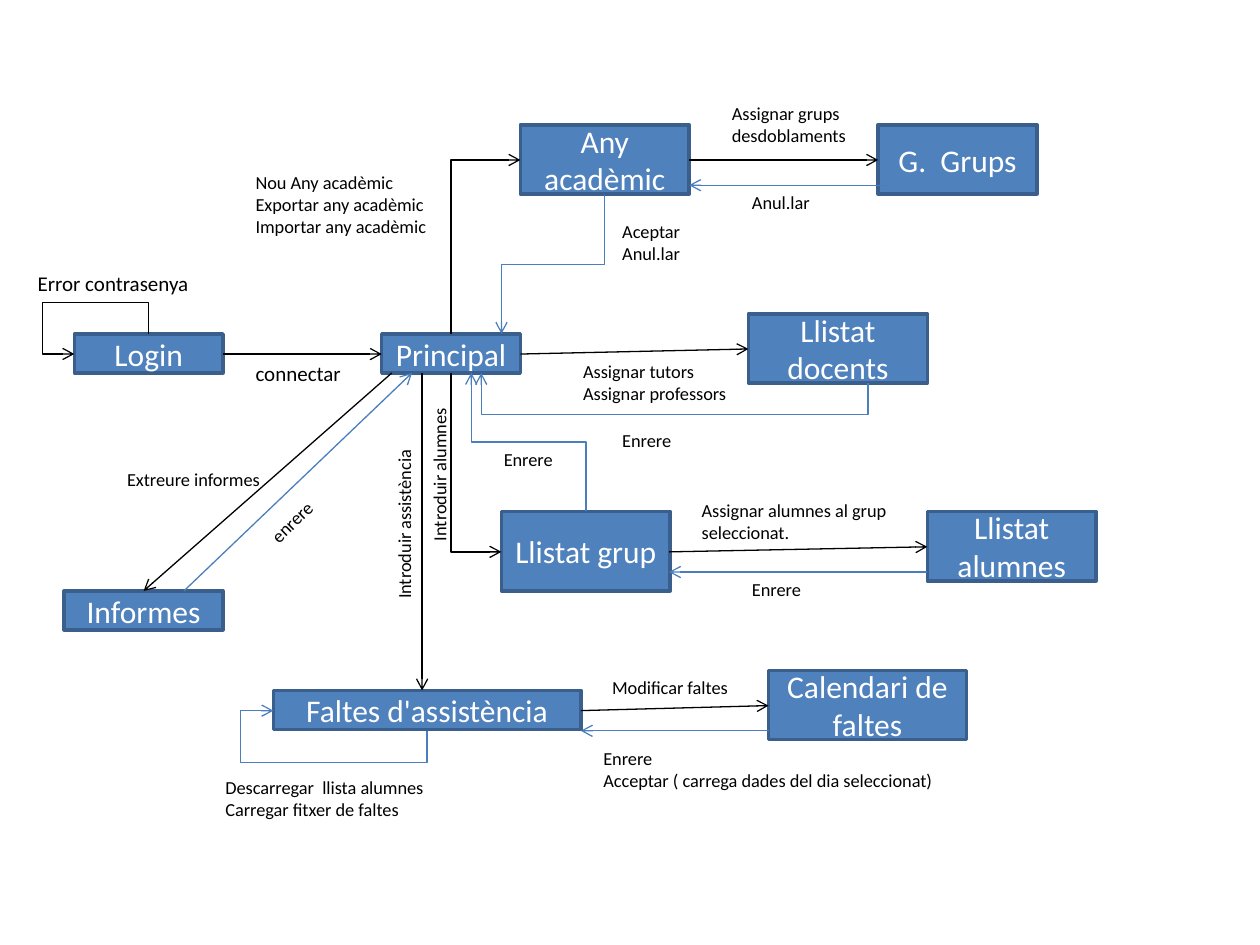
from lxml import etree
from pptx import Presentation
from pptx import util as u
from pptx.dml.color import RGBColor
from pptx.enum import shapes, text
from pptx.oxml import ns

FILL = RGBColor(0x4F, 0x81, 0xBD)
EDGE = RGBColor(0x3A, 0x5F, 0x8C)
BACK = RGBColor(0x4B, 0x7E, 0xBC)
BLACK = RGBColor(0, 0, 0)
WHITE = RGBColor(255, 255, 255)

# Screens: name, left, top, width, height
SCREENS = [
    ("Login", 0.59, 2.65, 1.18, 0.31),
    ("Principal", 3.03, 2.65, 1.1, 0.31),
    ("Any acadèmic", 4.13, 0.99, 1.34, 0.55),
    ("G.  Grups", 6.97, 0.99, 1.26, 0.55),
    ("Llistat docents", 5.94, 2.49, 1.42, 0.55),
    ("Llistat grup", 3.98, 4.06, 1.34, 0.63),
    ("Llistat alumnes", 7.36, 4.06, 1.34, 0.55),
    ("Faltes d'assistència", 2.17, 5.48, 2.44, 0.31),
    ("Informes", 0.51, 4.69, 1.26, 0.31),
    ("Calendari de faltes", 6.1, 5.32, 1.57, 0.55),
]

# Straight arrows: start, end, colour
ARROWS = [
    ((1.77, 2.81), (3.03, 2.81), BLACK),
    ((5.47, 1.27), (6.97, 1.27), BLACK),
    ((7.05, 1.47), (5.47, 1.47), BACK),
    ((4.13, 2.81), (5.94, 2.77), BLACK),
    ((5.31, 4.38), (7.36, 4.34), BLACK),
    ((7.36, 4.54), (5.31, 4.54), BACK),
    ((3.35, 2.96), (3.35, 5.48), BLACK),
    ((3.11, 2.96), (1.14, 4.69), BLACK),
    ((1.46, 4.69), (3.27, 2.96), BACK),
    ((4.61, 5.64), (6.1, 5.6), BLACK),
    ((6.1, 5.8), (4.61, 5.8), BACK),
]

# Bent arrows: start, end, colour, turn, then the y and x where they bend
BENDS = [
    ((1.18, 2.65), (0.59, 2.81), BLACK, 270, 2.4, 0.34),
    ((3.58, 2.65), (4.13, 1.27), BLACK, 90),
    ((4.8, 1.55), (3.98, 2.65), BACK, 90, 2.1),
    ((6.89, 3.04), (3.82, 2.96), BACK, 90, 3.29),
    ((3.58, 2.96), (3.98, 4.38), BLACK, 270),
    ((4.65, 4.06), (3.74, 2.96), BACK, 270, 3.51),
    ((3.39, 5.8), (2.17, 5.64), BACK, 90, 6.05, 1.91),
]

# Labels: lines, left, top, width, then size and turn where special
LABELS = [
    ("connectar", 1.93, 2.81, 0.89, 12),
    ("Error contrasenya", 0.2, 2.1, 1.41, 12),
    ("Nou Any acadèmic\nExportar any acadèmic\nImportar any acadèmic",
     1.93, 1.31, 1.58),
    ("Aceptar\nAnul.lar", 4.84, 1.7, 0.67),
    ("Assignar grups\ndesdoblaments", 5.71, 0.76, 1.12),
    ("Anul.lar", 5.87, 1.47, 0.67),
    ("Assignar tutors\nAssignar professors", 4.53, 2.81, 1.36),
    ("Enrere", 4.84, 3.36, 0.6),
    ("Introduir alumnes", 2.85, 3.62, 1.27, 10.5, 270),
    ("Assignar alumnes al grup\nseleccionat.", 5.47, 3.91, 1.72),
    ("Enrere", 3.9, 3.51, 0.6),
    ("Enrere", 5.87, 4.54, 0.6),
    ("Introduir assistència", 2.5, 4.01, 1.41, 10.5, 270),
    ("Extreure informes", 0.91, 3.67, 1.28),
    ("enrere", 2.02, 4, 0.6, 10.5, 315.9),
    ("Descarregar  llista alumnes\nCarregar fitxer de faltes",
     1.69, 6.11, 1.81),
    ("Modificar faltes", 4.76, 5.32, 1.14),
    ("Enrere\nAcceptar ( carrega dades del dia seleccionat)",
     4.69, 5.88, 2.86),
]


def put(item, form):
    for key, val in form.items():
        setattr(item, key, val)


def write(frame, words, size, color, align, form):
    put(frame, form)
    frame.text = words
    for par in frame.paragraphs:
        par.alignment = align
        put(par.runs[0].font, {"name": "Calibri", "size": u.Pt(size)})
        par.runs[0].font.color.rgb = color


def screen(slide, name, *place):
    box = slide.shapes.add_shape(shapes.MSO_SHAPE.RECTANGLE,
                                 *map(u.Inches, place))
    box.shadow.inherit = False
    box.fill.solid()
    box.fill.fore_color.rgb = FILL
    box.line.color.rgb = EDGE
    box.line.width = u.Pt(2)
    write(box.text_frame, name, 18, WHITE, text.PP_ALIGN.CENTER,
          {"word_wrap": True, "vertical_anchor": text.MSO_ANCHOR.MIDDLE})


def label(slide, words, left, top, width, size=10.5, turn=0):
    high = 0.1 + len(words.split("\n")) * size / 60
    box = slide.shapes.add_textbox(*map(u.Inches, (left, top, width, high)))
    box.rotation = turn
    write(box.text_frame, words, size, BLACK, text.PP_ALIGN.LEFT,
          {"word_wrap": False,
           "auto_size": text.MSO_AUTO_SIZE.SHAPE_TO_FIT_TEXT})


def arrow(slide, start, end, color, kind=shapes.MSO_CONNECTOR.STRAIGHT):
    line = slide.shapes.add_connector(kind, *map(u.Inches, start + end))
    line.line.color.rgb = color
    line.line.width = u.Pt(0.75)
    props = line._element.spPr
    etree.SubElement(props.find(ns.qn("a:ln")), ns.qn("a:tailEnd"),
                     type="arrow")
    etree.SubElement(props, ns.qn("a:effectLst"))
    return line


def bend(slide, start, end, color, turn, *stops):
    line = arrow(slide, start, end, color, shapes.MSO_CONNECTOR.ELBOW)
    (x1, y1), (x2, y2) = start, end
    # The frame lies on its side, so width and height trade places
    wide, high = abs(y2 - y1), abs(x2 - x1)
    put(line, {"left": u.Inches((x1 + x2 - wide) / 2),
               "top": u.Inches((y1 + y2 - high) / 2),
               "width": u.Inches(wide), "height": u.Inches(high)})
    props = line._element.spPr
    frame = props.find(ns.qn("a:xfrm"))
    frame.set("rot", str(turn * 60000))
    frame.set("flipH", str(int((y2 < y1) == (turn == 90))))
    frame.set("flipV", str(int((x2 > x1) == (turn == 90))))
    # Each bend is a share of the way from start to end
    geom = props.find(ns.qn("a:prstGeom"))
    geom.set("prst", f"bentConnector{2 + len(stops)}")
    spans = ((y1, y2), (x1, x2))
    for num, (stop, (low, top)) in enumerate(zip(stops, spans), 1):
        share = round((stop - low) / (top - low) * 100000)
        etree.SubElement(geom.find(ns.qn("a:avLst")), ns.qn("a:gd"),
                         name=f"adj{num}", fmla=f"val {share}")


def main():
    deck = Presentation()
    put(deck, {"slide_width": u.Inches(10), "slide_height": u.Inches(7.5)})
    slide = deck.slides.add_slide(deck.slide_layouts[6])
    for draw, rows in ((screen, SCREENS), (arrow, ARROWS),
                       (bend, BENDS), (label, LABELS)):
        for row in rows:
            draw(slide, *row)
    deck.save("out.pptx")


main()
